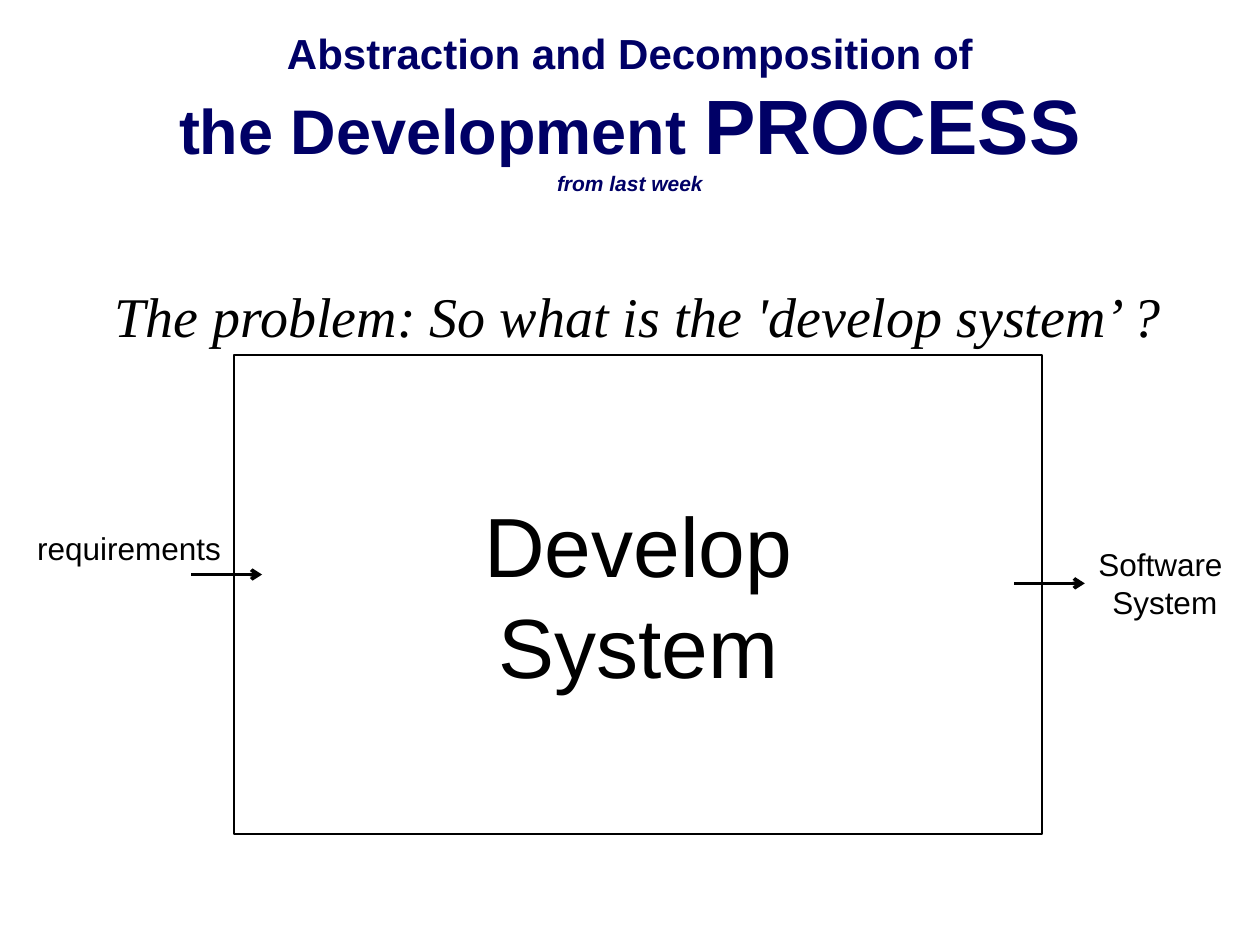
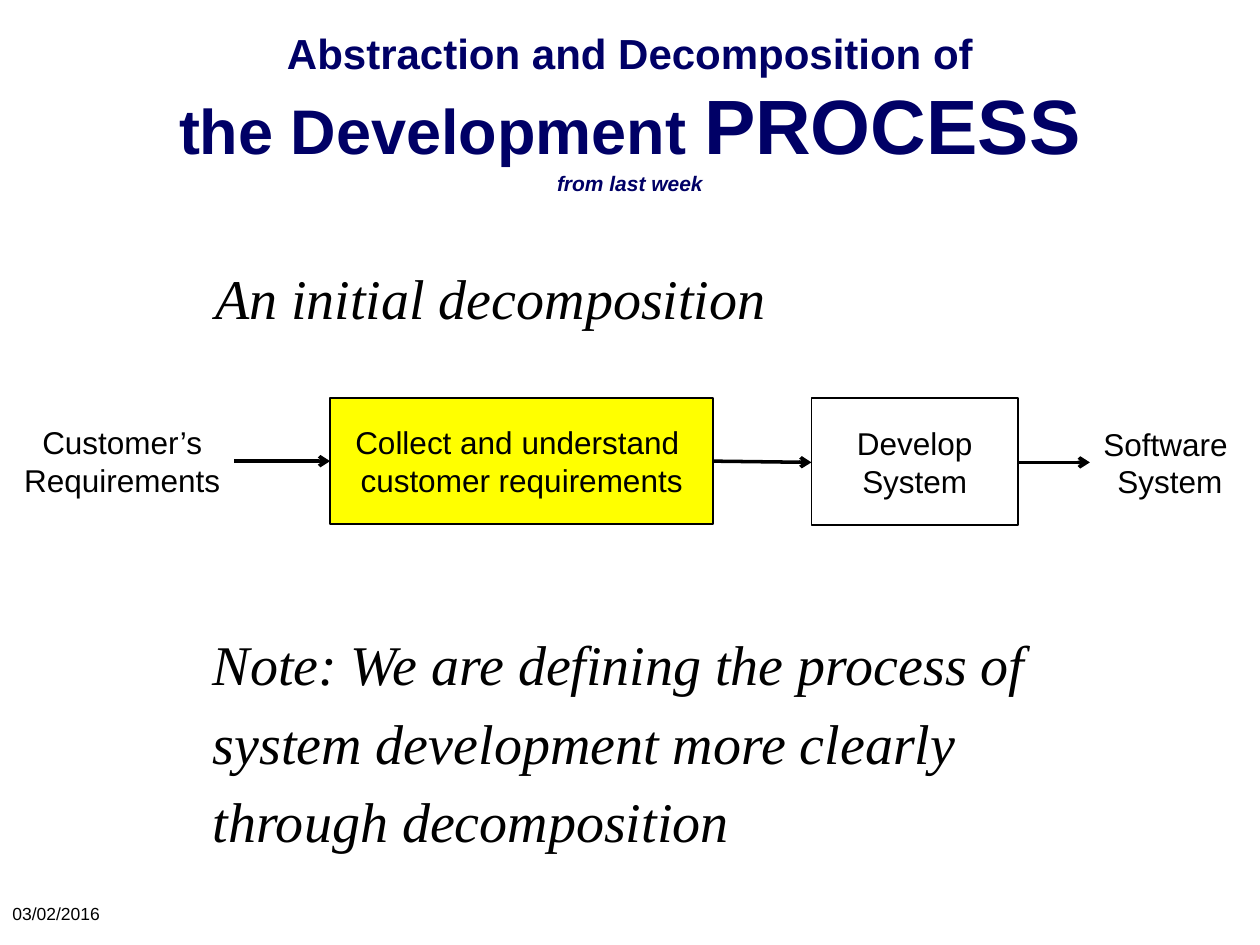
"""Builds two slides on the decomposition of the development process."""
from dataclasses import dataclass
from typing import Optional

from lxml import etree
from pptx import Presentation
from pptx.dml.color import RGBColor
from pptx.enum.shapes import MSO_CONNECTOR, MSO_SHAPE
from pptx.enum.text import MSO_ANCHOR, MSO_AUTO_SIZE, PP_ALIGN
from pptx.oxml.ns import qn
from pptx.util import Inches, Pt

CENTER, LEFT, JUSTIFY = PP_ALIGN.CENTER, PP_ALIGN.LEFT, PP_ALIGN.JUSTIFY
TOP, MIDDLE = MSO_ANCHOR.TOP, MSO_ANCHOR.MIDDLE
NO_AUTOFIT = MSO_AUTO_SIZE.NONE
STRAIGHT, RECTANGLE = MSO_CONNECTOR.STRAIGHT, MSO_SHAPE.RECTANGLE
TITLE_AND_CONTENT, TITLE_ONLY = 1, 5


@dataclass(frozen=True)
class Theme:
    navy: RGBColor = RGBColor(0x00, 0x00, 0x66)
    black: RGBColor = RGBColor(0x00, 0x00, 0x00)
    white: RGBColor = RGBColor(0xFF, 0xFF, 0xFF)
    yellow: RGBColor = RGBColor(0xFF, 0xFF, 0x00)
    sans: str = "Arial"
    serif: str = "Times New Roman"
    label: int = 18
    statement: int = 32
    big_label: int = 48
    date: int = 10
    outline: int = 1
    arrow: int = 2


@dataclass(frozen=True)
class Area:
    left: float
    top: float
    width: float
    height: float

    def lengths(self) -> tuple:
        return tuple(Inches(n) for n in (self.left, self.top, self.width, self.height))


@dataclass(frozen=True)
class Piece:
    text: str
    size: int
    italic: bool = False


@dataclass(frozen=True)
class Box:
    area: Area
    text: str
    size: int
    fill: Optional[RGBColor] = None


@dataclass(frozen=True)
class Label:
    area: Area
    text: str


@dataclass(frozen=True)
class Arrow:
    start: tuple
    end: tuple


THEME = Theme()
TITLE_AREA = Area(0, 0.37, 10, 1.03)
TITLE_LINES = (
    (Piece("Abstraction and Decomposition of", 24),),
    (Piece("the Development ", 36), Piece("PROCESS", 44)),
    (Piece("from last week", 12, italic=True),),
)
SOFTWARE_SYSTEM = "Software \nSystem"
DEVELOP_SYSTEM = "Develop\nSystem"

PROBLEM_BOXES = (Box(Area(1.86, 2.82, 6.41, 3.8), DEVELOP_SYSTEM, THEME.big_label, THEME.white),)
PROBLEM_LABELS = (
    Label(Area(8.61, 4.28, 1.27, 0.71), SOFTWARE_SYSTEM),
    Label(Area(0.19, 4.15, 1.67, 0.4), "requirements"),
)
PROBLEM_ARROWS = (Arrow((8.05, 4.63), (8.61, 4.63)), Arrow((1.52, 4.56), (2.08, 4.56)))

PROCESS_BOXES = (
    Box(Area(6.44, 3.16, 1.64, 1.01), DEVELOP_SYSTEM, THEME.label),
    Box(Area(2.62, 3.16, 3.04, 1), "Collect and understand \ncustomer requirements",
        THEME.label, THEME.yellow),
)
PROCESS_LABELS = (
    Label(Area(0.08, 3.31, 1.78, 0.71), "Customer’s\nRequirements"),
    Label(Area(8.65, 3.32, 1.27, 0.71), SOFTWARE_SYSTEM),
)
PROCESS_ARROWS = (
    Arrow((1.86, 3.66), (2.62, 3.66)),
    Arrow((5.66, 3.66), (6.44, 3.67)),
    Arrow((8.08, 3.67), (8.65, 3.67)),
)


def place(shape, area: Area) -> None:
    shape.left, shape.top, shape.width, shape.height = area.lengths()


def add_run(paragraph, text: str, *, size: int, font: str = THEME.sans,
            color: RGBColor = THEME.black, bold: bool = False, italic: bool = False) -> None:
    run = paragraph.add_run()
    run.text = text
    run.font.name, run.font.size = font, Pt(size)
    run.font.bold, run.font.italic = bold, italic
    run.font.color.rgb = color


def space_before_percent(paragraph, percent: int) -> None:
    properties = paragraph._p.get_or_add_pPr()
    spacing = etree.Element(qn("a:spcBef"))
    etree.SubElement(spacing, qn("a:spcPct")).set("val", str(percent * 1000))
    properties.insert(0, spacing)


def write_text(shape, text: str, *, size: int, font: str = THEME.sans, italic: bool = False,
               align: PP_ALIGN = CENTER, anchor: MSO_ANCHOR = TOP, wrap: bool = False,
               spaced_lines: int = 1) -> None:
    frame = shape.text_frame
    frame.auto_size, frame.word_wrap, frame.vertical_anchor = NO_AUTOFIT, wrap, anchor
    for index, line in enumerate(text.split("\n")):
        paragraph = frame.add_paragraph() if index else frame.paragraphs[0]
        paragraph.alignment = align
        if index < spaced_lines:
            space_before_percent(paragraph, 20)
        add_run(paragraph, line, size=size, font=font, italic=italic)


def add_title(slide) -> None:
    title = slide.shapes.title
    place(title, TITLE_AREA)
    frame = title.text_frame
    frame.auto_size, frame.word_wrap, frame.vertical_anchor = NO_AUTOFIT, True, MIDDLE
    for index, pieces in enumerate(TITLE_LINES):
        paragraph = frame.add_paragraph() if index else frame.paragraphs[0]
        paragraph.alignment = CENTER
        paragraph.space_before = Pt(0)
        for piece in pieces:
            add_run(paragraph, piece.text, size=piece.size, color=THEME.navy,
                    bold=True, italic=piece.italic)


def add_problem_statement(slide) -> None:
    body = slide.placeholders[1]
    place(body, Area(0.35, 1.49, 9.43, 5.64))
    write_text(body, "The problem: So what is the 'develop system’ ?", size=THEME.statement,
               font=THEME.serif, italic=True, wrap=True, spaced_lines=0)
    body.text_frame.margin_top = Inches(0.78)
    paragraph = body.text_frame.paragraphs[0]
    paragraph.line_spacing, paragraph.space_before = 0.95, Pt(0)
    properties = paragraph._p.get_or_add_pPr()
    properties.set("marL", "0")
    properties.set("indent", "0")
    etree.SubElement(properties, qn("a:buNone"))


def add_text(slide, area: Area, text: str, **text_format) -> None:
    write_text(slide.shapes.add_textbox(*area.lengths()), text, **text_format)


def add_box(slide, box: Box) -> None:
    shape = slide.shapes.add_shape(RECTANGLE, *box.area.lengths())
    shape.shadow.inherit = False
    if box.fill is None:
        shape.fill.background()
    else:
        shape.fill.solid()
        shape.fill.fore_color.rgb = box.fill
    shape.line.color.rgb = THEME.black
    shape.line.width = Pt(THEME.outline)
    write_text(shape, box.text, size=box.size, anchor=MIDDLE)


def add_arrow(slide, arrow: Arrow) -> None:
    ends = (Inches(n) for n in arrow.start + arrow.end)
    connector = slide.shapes.add_connector(STRAIGHT, *ends)
    connector.line.color.rgb = THEME.black
    connector.line.width = Pt(THEME.arrow)
    etree.SubElement(connector.line._get_or_add_ln(), qn("a:tailEnd")).set("type", "arrow")
    etree.SubElement(connector._element.spPr, qn("a:effectLst"))


def add_diagram(slide, boxes: tuple, labels: tuple, arrows: tuple) -> None:
    for box in boxes:
        add_box(slide, box)
    for label in labels:
        add_text(slide, label.area, label.text, size=THEME.label)
    for arrow in arrows:
        add_arrow(slide, arrow)


def build_problem_slide(presentation) -> None:
    slide = presentation.slides.add_slide(presentation.slide_layouts[TITLE_AND_CONTENT])
    add_title(slide)
    add_problem_statement(slide)
    add_diagram(slide, PROBLEM_BOXES, PROBLEM_LABELS, PROBLEM_ARROWS)


def build_decomposition_slide(presentation) -> None:
    slide = presentation.slides.add_slide(presentation.slide_layouts[TITLE_ONLY])
    add_title(slide)
    add_text(slide, Area(0, 7, 2.08, 0.5), "03/02/2016", size=THEME.date,
             align=LEFT, anchor=MIDDLE, spaced_lines=0)
    add_diagram(slide, PROCESS_BOXES, PROCESS_LABELS, PROCESS_ARROWS)
    statement = {"size": THEME.statement, "font": THEME.serif, "italic": True}
    add_text(slide, Area(1.59, 2.04, 4.61, 0.64), "An initial decomposition", **statement)
    note = ("Note: We are defining the process of \n"
            "system development more clearly \nthrough decomposition")
    add_text(slide, Area(1.59, 4.95, 6.83, 1.93), note, align=JUSTIFY, wrap=True,
             spaced_lines=3, **statement)


def main() -> None:
    presentation = Presentation()
    presentation.slide_width, presentation.slide_height = Inches(10), Inches(7.5)
    build_problem_slide(presentation)
    build_decomposition_slide(presentation)
    presentation.save("out.pptx")


if __name__ == "__main__":
    main()
